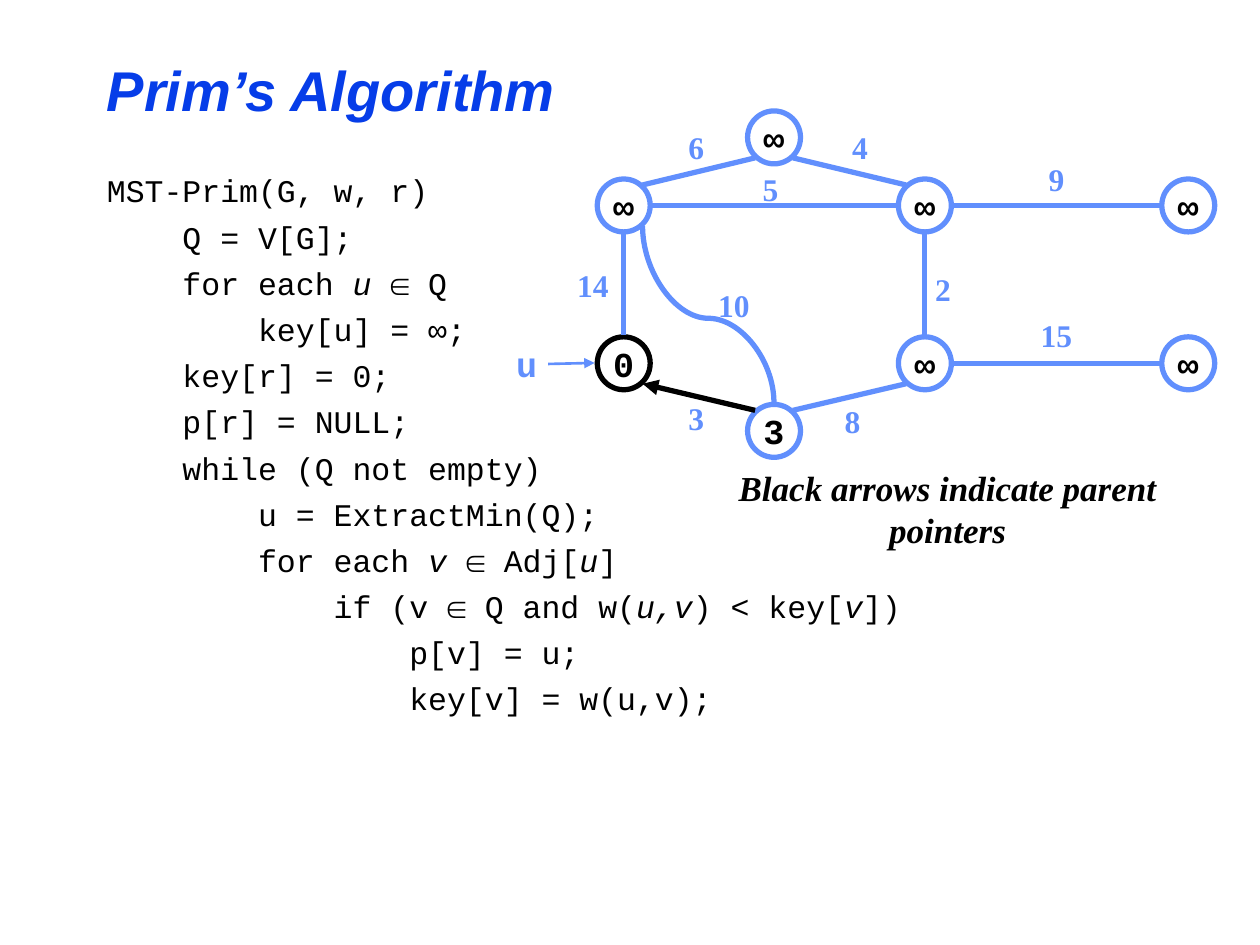
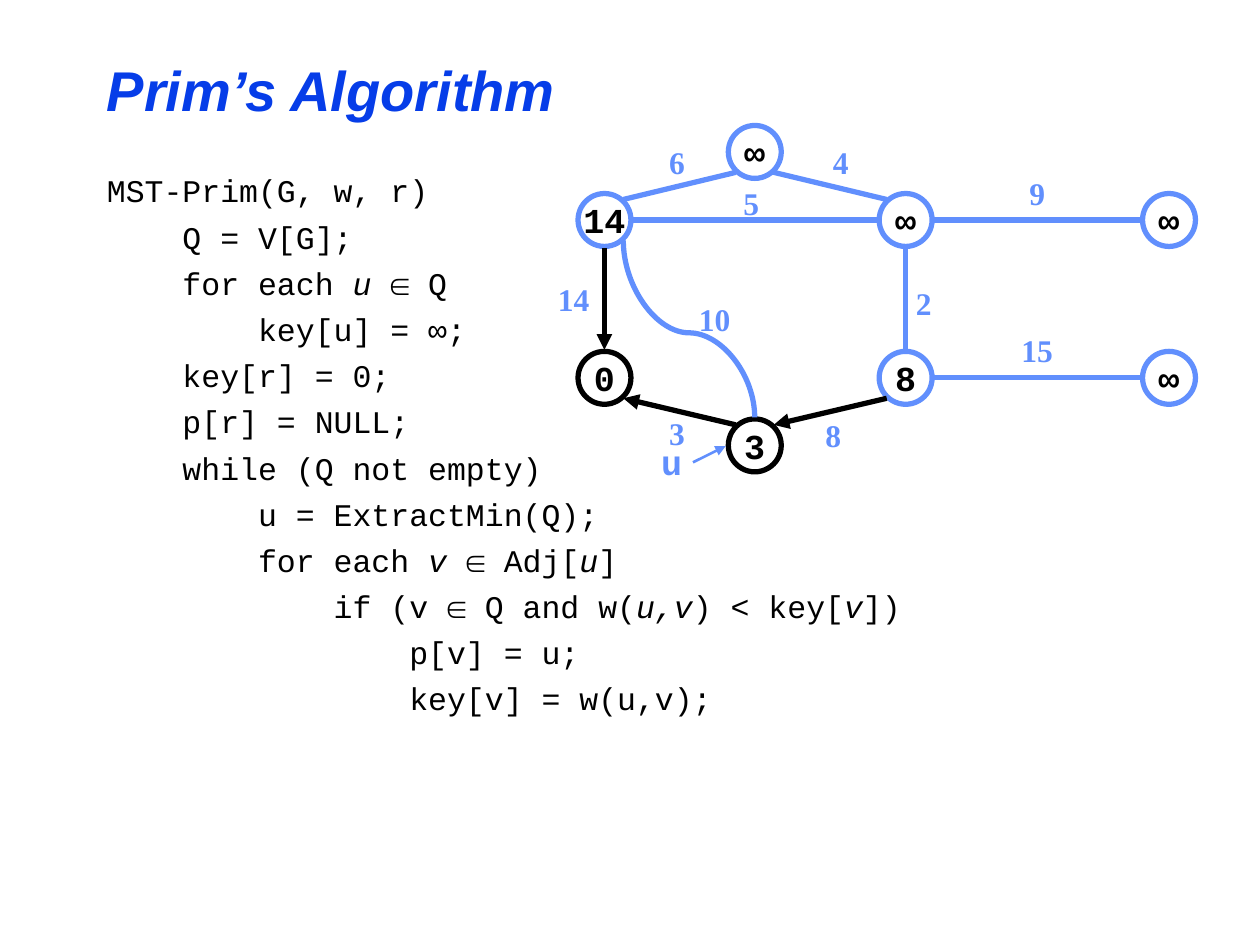
from lxml import etree
from pptx import Presentation
from pptx.dml.color import RGBColor
from pptx.enum.shapes import MSO_CONNECTOR, MSO_SHAPE
from pptx.enum.text import MSO_ANCHOR, PP_ALIGN
from pptx.oxml.ns import qn
from pptx.util import Pt

LINE, CURVE = MSO_CONNECTOR.STRAIGHT, MSO_CONNECTOR.CURVE
OVAL = MSO_SHAPE.OVAL
TOP, MIDDLE = MSO_ANCHOR.TOP, MSO_ANCHOR.MIDDLE
LEFT, CENTER = PP_ALIGN.LEFT, PP_ALIGN.CENTER

# Shared colours and text styles
BLUE, BLACK, ROYAL = "618FFD", "000000", "063DE8"
MONO, SERIF = "Courier New", "Times New Roman"
TITLE = dict(name="Arial", size=Pt(32), bold=True, italic=True)
CODE = dict(name=MONO, size=Pt(18), bold=False)
KEY = dict(name=MONO, size=Pt(20), bold=True)
COST = dict(name=SERIF, size=Pt(18), bold=True)
NOTE = dict(name=SERIF, size=Pt(20), bold=True, italic=True)

# Pseudocode, with italic parts between asterisks
PRIM = """MST-Prim(G, w, r)
    Q = V[G];
    for each *u *∈ Q
        key[u] = ∞;
    key[r] = 0;
    p[r] = NULL;
    while (Q not empty)
        u = ExtractMin(Q);
        for each *v *∈ Adj[*u*]
            if (v ∈ Q and w(*u,v*) < key[*v*])
                p[v] = u;
                key[v] = w(u,v);"""

# Graph: node centres, edges (child, parent) and cost labels
SIZE = 30.24
COLS = 356.4, 442.3, 528.5, 679
ROWS = 78.5, 117.4, 207.6, 246.2
NODES = {
    "a": (0, 1), "b": (2, 1), "c": (3, 1), "r": (0, 2),
    "d": (2, 2), "e": (3, 2), "f": (1, 3), "g": (1, 0),
}
EDGES = ["gb", "ga", "ab", "ar", "fr", "df", "bd", "bc", "de"]
COSTS = [
    ("14", 338.8, 162.7), ("10", 419.4, 174.2), ("3", 397.8, 239),
    ("6", 397.8, 84.2), ("4", 491.4, 84.2), ("5", 440.3, 108),
    ("2", 538.9, 164.9), ("9", 603.7, 102.2), ("15", 603.7, 191.5),
    ("8", 487.1, 240.5),
]


def hue(code):
    return RGBColor.from_string(code)


def style(font, form, color):
    for name, value in form.items():
        setattr(font, name, value)
    font.color.rgb = hue(color)


def write(frame, text, form, color, align=CENTER, wrap=False, anchor=TOP):
    frame.word_wrap = wrap
    frame.vertical_anchor = anchor
    para = frame.paragraphs[0]
    para.alignment = align
    run = para.add_run()
    run.text = text
    style(run.font, form, color)


def label(slide, text, x, y, form, color, high=28.8):
    """Text centred on a point."""
    wide = 15 + 9 * len(text)
    box = slide.shapes.add_textbox(
        Pt(x - wide / 2), Pt(y - high / 2), Pt(wide), Pt(high))
    write(box.text_frame, text, form, color)


def code(slide):
    box = slide.shapes.add_textbox(Pt(54), Pt(90), Pt(618), Pt(432))
    frame = box.text_frame
    frame.word_wrap = True
    frame.margin_top = Pt(8)
    for row, text in enumerate(PRIM.split("\n")):
        para = frame.add_paragraph() if row else frame.paragraphs[0]
        if row:
            para.space_before = Pt(4.8)
        for turn, part in enumerate(text.split("*")):
            run = para.add_run()
            run.text = part
            style(run.font, CODE, BLACK)
            run.font.italic = turn % 2 == 1


def link(slide, start, end, color=BLUE, width=3, arrow=False, kind=LINE):
    line = slide.shapes.add_connector(kind, *map(Pt, start + end))
    line.line.color.rgb = hue(color)
    line.line.width = Pt(width)
    props = line.element.spPr
    if arrow:
        etree.SubElement(props.find(qn("a:ln")), qn("a:tailEnd"), type="triangle")
    etree.SubElement(props, qn("a:effectLst"))
    return props


def bend(slide, start, end):
    """S-curve that leaves and arrives vertically: a quarter-turned connector."""
    midx, midy = (start[0] + end[0]) / 2, (start[1] + end[1]) / 2
    half = (start[1] - end[1]) / 2, (start[0] - end[0]) / 2
    props = link(slide, (midx + half[0], midy - half[1]),
                 (midx - half[0], midy + half[1]), kind=CURVE)
    props.find(qn("a:xfrm")).set("rot", "5400000")
    guides = props.find(qn("a:prstGeom")).get_or_add_avLst()
    etree.SubElement(guides, qn("a:gd"), name="adj1", fmla="val 47800")


def node(slide, x, y, key, color):
    ring = slide.shapes.add_shape(
        OVAL, Pt(x - SIZE / 2), Pt(y - SIZE / 2), Pt(SIZE), Pt(SIZE))
    ring.shadow.inherit = False
    ring.fill.background()
    ring.line.color.rgb = hue(color)
    ring.line.width = Pt(3)
    write(ring.text_frame, key, KEY, BLACK, anchor=MIDDLE)


def sign(value):
    return (value > 0) - (value < 0)


def edge(slide, a, b, black):
    """Join two node centres, stopping at the rings."""
    dx, dy = sign(b[0] - a[0]), sign(b[1] - a[1])
    gapx, gapy = (10.8, 11.7) if dx and dy else (16, 16)
    gapx, gapy = gapx * dx, gapy * dy
    link(slide, (a[0] + gapx, a[1] + gapy), (b[0] - gapx, b[1] - gapy),
         BLACK if black else BLUE, arrow=black)


def graph(slide, keys, done, parents, dx=0, dy=0):
    spots = {name: (COLS[col] + dx, ROWS[row] + dy)
             for name, (col, row) in NODES.items()}
    for name, key in zip(NODES, keys):
        node(slide, *spots[name], key, BLACK if name in done else BLUE)
    for pair in EDGES:
        edge(slide, spots[pair[0]], spots[pair[1]], pair in parents)
    (fx, fy), (ax, ay) = spots["f"], spots["a"]
    bend(slide, (fx, fy - 16), (ax + 10.8, ay + 11.7))
    for text, x, y in COSTS:
        label(slide, text, x + dx, y + dy, COST, BLUE)


def mark(slide, x, y, start, end):
    """Pointer to the current vertex."""
    label(slide, "u", x, y, KEY, BLUE, high=31)
    link(slide, start, end, width=1.5, arrow=True)


def page(deck):
    slide = deck.slides.add_slide(deck.slide_layouts[6])
    box = slide.shapes.add_textbox(Pt(54), Pt(24), Pt(612), Pt(54))
    write(box.text_frame, "Prim’s Algorithm", TITLE, ROYAL, LEFT, True, MIDDLE)
    code(slide)
    return slide


def main():
    deck = Presentation()
    deck.slide_width, deck.slide_height = Pt(720), Pt(540)

    # Root visited
    slide = page(deck)
    graph(slide, ["∞", "∞", "∞", "0", "∞", "∞", "3", "∞"], "r", ["fr"])
    box = slide.shapes.add_textbox(Pt(380.5), Pt(263), Pt(322), Pt(31))
    write(box.text_frame, "Black arrows indicate parent pointers",
          NOTE, BLACK, wrap=True)
    mark(slide, 299.9, 207.7, (313.2, 208), (339.8, 207.4))

    # Second vertex visited
    slide = page(deck)
    graph(slide, ["14", "∞", "∞", "0", "8", "∞", "3", "∞"], "rf",
          ["ar", "fr", "df"], dx=-11, dy=8.3)
    mark(slide, 382.7, 263.9, (396, 264.2), (414.7, 254.9))

    deck.save("out.pptx")


if __name__ == "__main__":
    main()
